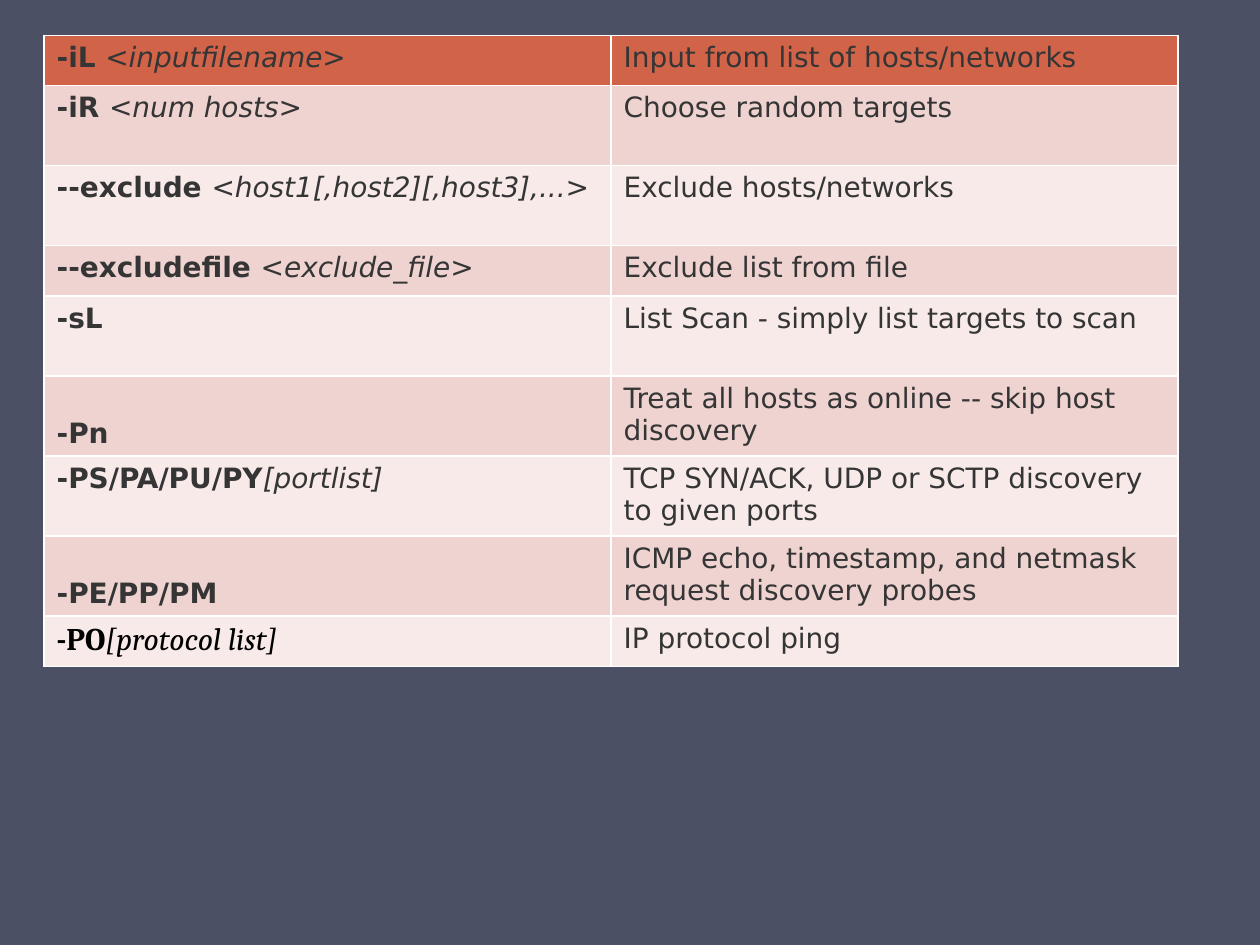
from collections import namedtuple
from lxml.etree import SubElement as Sub
from pptx import Presentation
from pptx.dml.color import RGBColor as RGB
from pptx.enum.text import MSO_ANCHOR as Anchor
from pptx.oxml.ns import qn
from pptx.util import Inches, Pt

Face = namedtuple("Face", "font size color")
Theme = namedtuple("Theme", "back head bands line body last")
theme = Theme(
    back="4B5064", head="D16349", bands=("F7EAE9", "EED3D0"), line="FFFFFF",
    body=Face("DejaVu Sans", 16, "353535"),
    last=Face("Cambria", 18, "000000"),
)

# Option, argument, meaning
rows = [
    ("-iL ", "<inputfilename>", "Input from list of hosts/networks"),
    ("-iR ", "<num hosts>", "Choose random targets"),
    ("--exclude ", "<host1[,host2][,host3],...>", "Exclude hosts/networks"),
    ("--excludefile ", "<exclude_file>", "Exclude list from file"),
    ("-sL", "", "List Scan - simply list targets to scan"),
    ("-Pn", "", "Treat all hosts as online -- skip host discovery"),
    ("-PS/PA/PU/PY", "[portlist]",
     "TCP SYN/ACK, UDP or SCTP discovery to given ports"),
    ("-PE/PP/PM", "",
     "ICMP echo, timestamp, and netmask request discovery probes"),
    ("-PO", "[protocol list]", "IP protocol ping"),
]
short = {0, 3, 8}   # rows of a single line
low = {5, 7}        # rows whose option sits at the bottom


def write(cell, parts, face):
    """Fill a cell with runs given as (text, bold, italic)."""
    para = cell.text_frame.paragraphs[0]
    for text, bold, slant in parts:
        if text:
            run = para.add_run()
            run.text = text
            font = run.font
            font.name, font.size = face.font, Pt(face.size)
            font.bold, font.italic = bold, slant
            font.color.rgb = RGB.from_string(face.color)


def paint(cell, fill):
    """Set the cell's borders and fill."""
    props = cell._tc.get_or_add_tcPr()
    for side in ("lnL", "lnR", "lnT", "lnB"):
        edge = Sub(props, qn(f"a:{side}"), w=str(Pt(1)))
        solid = Sub(edge, qn("a:solidFill"))
        Sub(solid, qn("a:srgbClr"), val=theme.line)
    cell.fill.solid()
    cell.fill.fore_color.rgb = RGB.from_string(fill)


# Slide and background
deck = Presentation()
deck.slide_width, deck.slide_height = Inches(10), Inches(7.5)
slide = deck.slides.add_slide(deck.slide_layouts[6])
slide.background.fill.solid()
slide.background.fill.fore_color.rgb = RGB.from_string(theme.back)

# Table of scan options
highs = [0.4 if i in short else 0.635 for i in range(len(rows))]
table = slide.shapes.add_table(
    len(rows), 2, Inches(0.35), Inches(0.28), Inches(9), Inches(sum(highs))
).table
for col in table.columns:
    col.width = Inches(4.5)

for i, (flag, arg, note) in enumerate(rows):
    table.rows[i].height = Inches(highs[i])
    left, right = table.cell(i, 0), table.cell(i, 1)
    face = theme.last if i == len(rows) - 1 else theme.body
    write(left, [(flag, True, False), (arg, False, True)], face)
    write(right, [(note, False, False)], theme.body)
    if i in low:
        left.vertical_anchor = Anchor.BOTTOM
    for cell in (left, right):
        paint(cell, theme.bands[i % 2] if i else theme.head)

deck.save("out.pptx")
